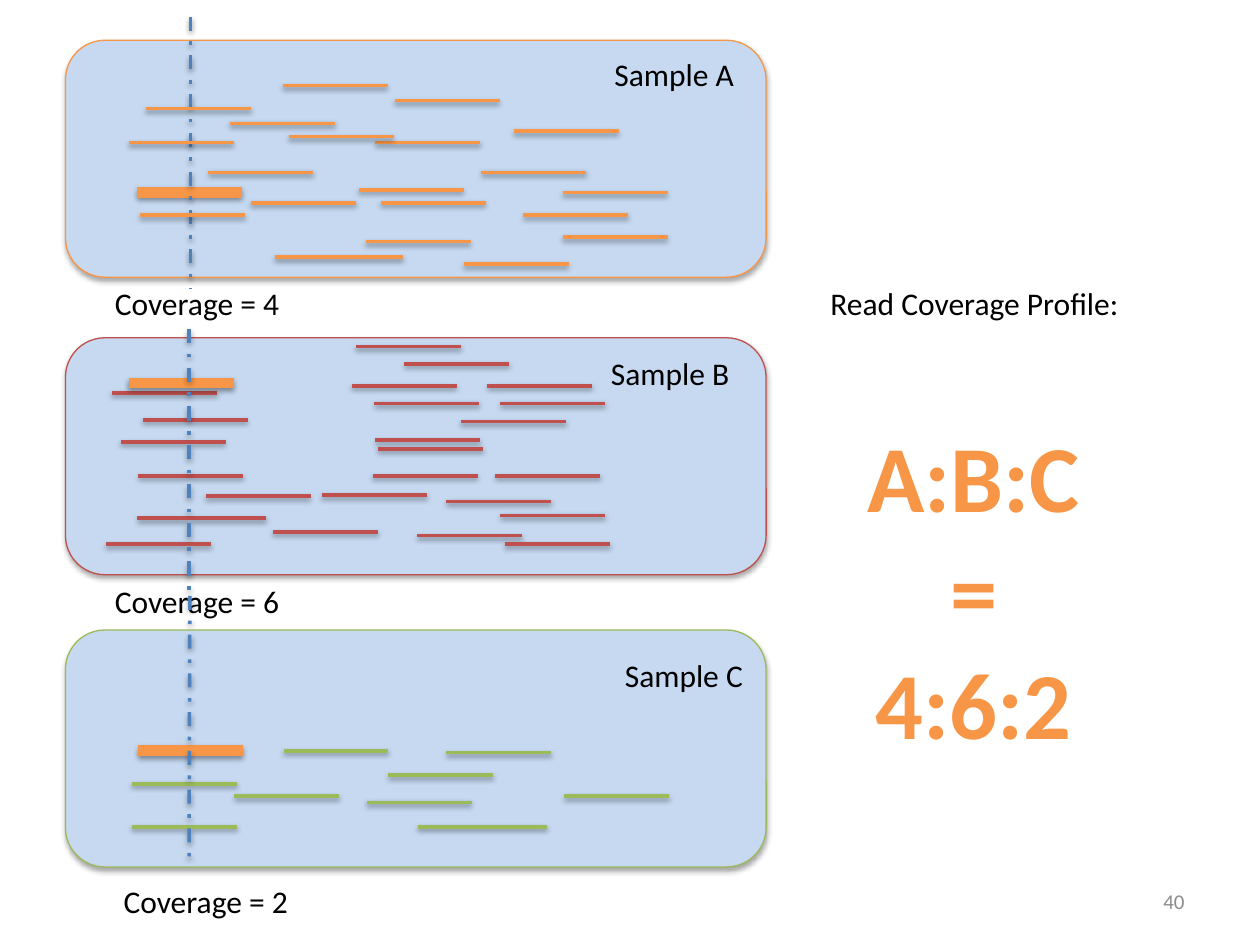
from lxml import etree
from pptx import Presentation
from pptx.dml.color import RGBColor
from pptx.enum import dml, shapes, text
from pptx.oxml import ns
from pptx.util import Pt

COLORS = {
    "panel": "C6D9F1", "orange": "F79646", "red": "C0504D", "green": "9BBB59",
    "locus": "4F81BD", "black": "000000", "gray": "8C8C8C",
}
READ_LENGTH, LONG_READ_LENGTH = 60, 73.5

# Reads are (left, y) in points; "locus" is (top x, bottom x, top y).
SAMPLES = [
    {
        "name": "Sample A", "color": "orange", "top": 23, "label": (344, 28),
        "caption": ("Coverage = 4", 58.5, 158.5), "locus": (108.9, 108.9, 9.5),
        "shared": (78.5, 110), "long": (157, 147), "reads_in_front": True,
        "reads": [
            (83.5, 62), (119, 98.5), (73.5, 81.5), (225.5, 57.5), (161.5, 49),
            (214.5, 81.5), (205, 108.5), (131.5, 70.5), (293.5, 75), (265, 151),
            (165, 78), (80, 123), (143.5, 116), (217.5, 116), (209, 138),
            (299, 123), (275, 98.5), (321.5, 135.5), (321.5, 110),
        ],
    },
    {
        "name": "Sample B", "color": "red", "top": 193, "label": (342, 198.5),
        "caption": ("Coverage = 6", 58.5, 329), "locus": (108, 108, 188),
        "shared": (73.5, 219), "long": (78.5, 296), "reads_in_front": False,
        "reads": [
            (64, 224.5), (81.5, 240), (214, 230.5), (231, 208), (203.5, 198),
            (286, 230.5), (213, 272), (278.5, 220.5), (201, 220.5), (79, 272),
            (214.5, 251.5), (69, 252.5), (117.5, 283.5), (184, 283), (156, 304),
            (283, 272), (216, 256.5), (255, 286.5), (263.5, 241), (286, 294.5),
            (238.5, 306), (288.5, 311), (60.5, 311),
        ],
    },
    {
        "name": "Sample C", "color": "green", "top": 360, "label": (350, 371.5),
        "caption": ("Coverage = 2", 63.5, 500.5), "locus": (108.5, 108, 340.5),
        "shared": (79, 429), "long": (239, 472.5), "reads_in_front": False,
        "reads": [
            (162, 429), (75.5, 448), (134, 455), (75.5, 472.5), (209.5, 458.5),
            (222, 443), (322.5, 455), (255, 430),
        ],
    },
]


def rgb(name):
    return RGBColor.from_string(COLORS[name])


def add_shadow(shape, distance, opacity):
    """Give the shape a soft black shadow straight below it."""
    effects = etree.SubElement(shape._element.spPr, ns.qn("a:effectLst"))
    shadow = etree.SubElement(
        effects, ns.qn("a:outerShdw"), blurRad=str(Pt(3.1)),
        dist=str(Pt(distance)), dir="5400000", rotWithShape="0")
    color = etree.SubElement(shadow, ns.qn("a:srgbClr"), val=COLORS["black"])
    etree.SubElement(color, ns.qn("a:alpha"), val=str(opacity * 1000))


def add_panel(page, top, color):
    panel = page.shapes.add_shape(
        shapes.MSO_SHAPE.ROUNDED_RECTANGLE, Pt(37.4), Pt(top), Pt(400.4), Pt(135.4))
    panel.fill.solid()
    panel.fill.fore_color.rgb = rgb("panel")
    panel.line.color.rgb = rgb(color)
    panel.line.width = Pt(0.75)
    add_shadow(panel, 1.8, 35)


def add_line(page, start, end, color, width=2, dash=None):
    line = page.shapes.add_connector(
        shapes.MSO_CONNECTOR.STRAIGHT, *(Pt(value) for value in (*start, *end)))
    line.line.color.rgb = rgb(color)
    line.line.width = Pt(width)
    if dash:
        line.line.dash_style = dash
    add_shadow(line, 1.6, 38)


def add_read(page, left, y, color, length=READ_LENGTH, width=2):
    add_line(page, (left, y), (left + length, y), color, width)


def add_text(page, content, left, top, width, height=29, size=18, color="black",
             bold=None, align=None, wrap=False, anchor=text.MSO_ANCHOR.TOP):
    box = page.shapes.add_textbox(Pt(left), Pt(top), Pt(width), Pt(height))
    frame = box.text_frame
    frame.text = content
    frame.word_wrap = wrap
    frame.vertical_anchor = anchor
    for para in frame.paragraphs:
        para.alignment = align
        for span in para.runs:
            span.font.name = "Calibri"
            span.font.size = Pt(size)
            span.font.bold = bold
            span.font.color.rgb = rgb(color)


def add_reads(page, sample):
    add_read(page, *sample["long"], sample["color"], LONG_READ_LENGTH, 2.25)
    for left, y in sample["reads"]:
        add_read(page, left, y, sample["color"])


def add_locus(page, sample):
    """Draw the read shared by all samples and the dashed line through it."""
    add_read(page, *sample["shared"], "orange", width=6)
    top_x, bottom_x, top = sample["locus"]
    add_line(page, (top_x, top), (bottom_x, top + 155), "locus",
             dash=dml.MSO_LINE.DASH_DOT)


def add_sample(page, sample):
    add_panel(page, sample["top"], sample["color"])
    layers = [add_reads, add_locus]
    if sample["reads_in_front"]:
        layers.reverse()
    for add_layer in layers:
        add_layer(page, sample)
    add_text(page, sample["name"], *sample["label"], 83.5)
    add_text(page, *sample["caption"], 110)


def main():
    deck = Presentation()
    deck.slide_width, deck.slide_height = Pt(720), Pt(540)
    page = deck.slides.add_slide(deck.slide_layouts[6])
    for sample in SAMPLES:
        add_sample(page, sample)
    add_text(page, "Read Coverage Profile:", 467.5, 158.5, 208, wrap=True)
    add_text(page, "A:B:C\n=\n4:6:2", 488, 235.5, 137, 204, size=54, color="orange",
             bold=True, align=text.PP_ALIGN.CENTER)
    add_text(page, "40", 516, 500.5, 168, size=12, color="gray", wrap=True,
             align=text.PP_ALIGN.RIGHT, anchor=text.MSO_ANCHOR.MIDDLE)
    deck.save("out.pptx")


if __name__ == "__main__":
    main()
